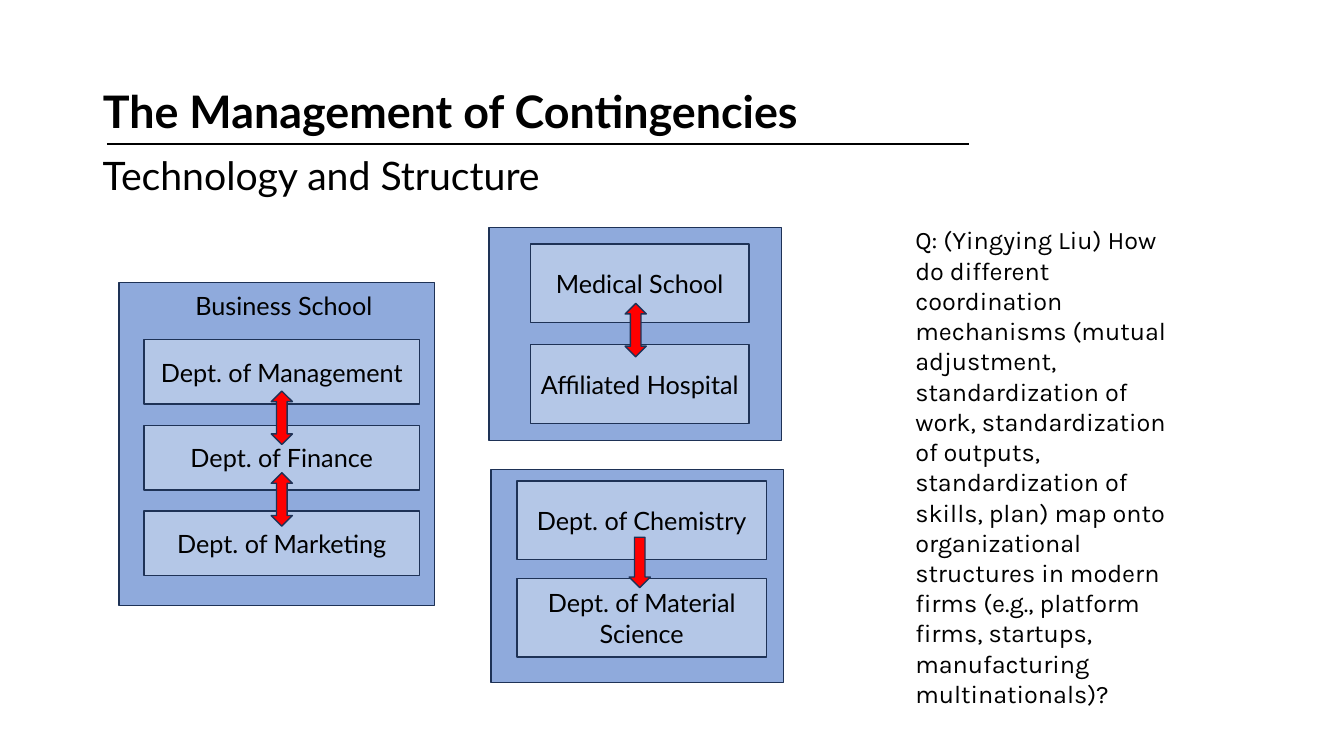
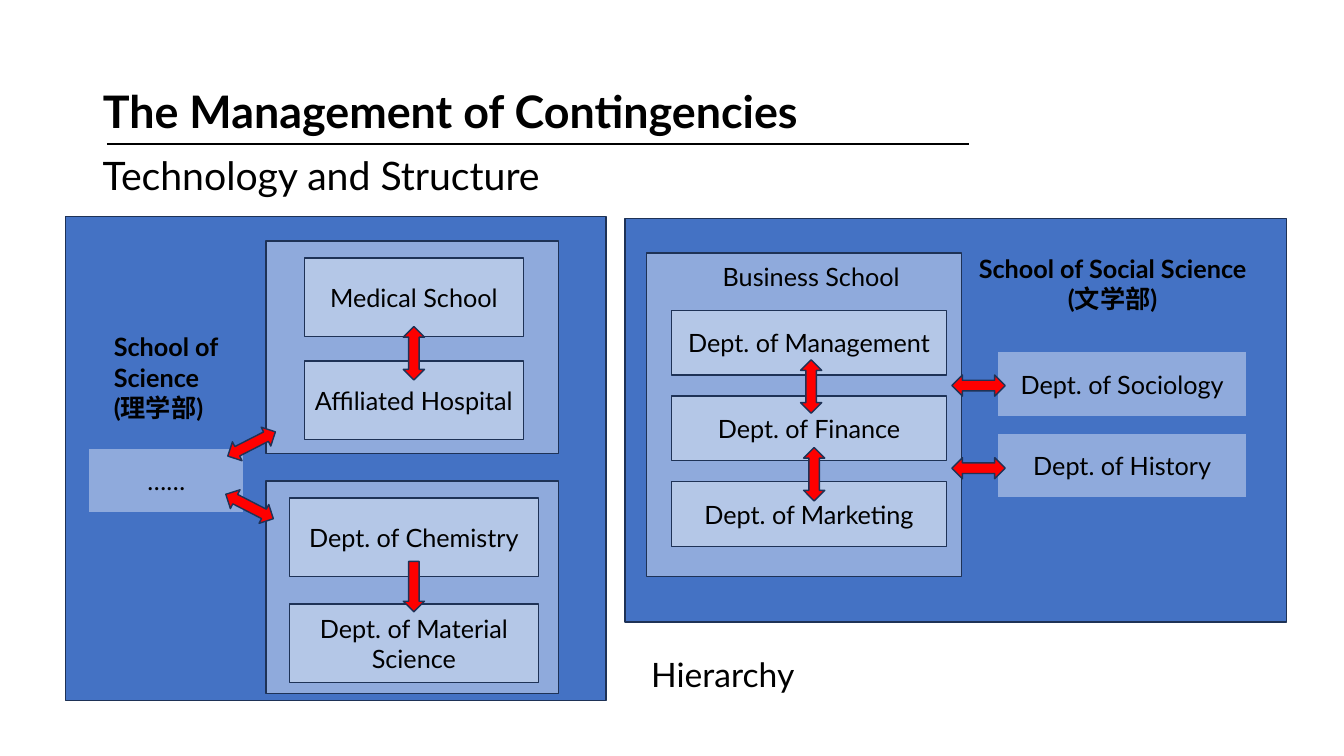
from dataclasses import dataclass

from pptx import Presentation
from pptx.dml.color import RGBColor
from pptx.enum.shapes import MSO_CONNECTOR, MSO_SHAPE
from pptx.enum.text import MSO_ANCHOR, MSO_AUTO_SIZE, PP_ALIGN
from pptx.oxml.xmlchemy import OxmlElement
from pptx.util import Emu, Pt

PX = 9144  # 100 px to the inch
TITLE_ONLY = 5
LEFT, CENTER = PP_ALIGN.LEFT, PP_ALIGN.CENTER
TOP, MIDDLE = MSO_ANCHOR.TOP, MSO_ANCHOR.MIDDLE
BOX = MSO_SHAPE.RECTANGLE
TWO_WAY, ONE_WAY = MSO_SHAPE.UP_DOWN_ARROW, MSO_SHAPE.DOWN_ARROW


@dataclass(frozen=True)
class Theme:
    ink: str = "000000"
    outline: str = "1E3256"
    division: str = "4472C4"
    school: str = "8FAADC"
    department: str = "B4C7E7"
    arrow: str = "FF0000"
    font: str = "Lato"
    question_font: str = "Karla"
    title: int = 32
    subtitle: int = 28
    caption: int = 24
    body: int = 18


THEME = Theme()
TITLE = "The Management of Contingencies"
SUBTITLE = "Technology and Structure"
MEDICAL = ["Medical School", "Affiliated Hospital"]
CHEMISTRY = ["Dept. of Chemistry", "Dept. of Material Science"]
BUSINESS = ["Dept. of Management", "Dept. of Finance", "Dept. of Marketing"]
QUESTION = (
    "Q: (Yingying Liu) How do different coordination mechanisms (mutual adjustment, "
    "standardization of work, standardization of outputs, standardization of skills, plan) "
    "map onto organizational structures in modern firms (e.g., platform firms, startups, "
    "manufacturing multinationals)?"
)


def px(*lengths):
    return [Emu(length * PX) for length in lengths]


def apply(target, values):
    for name, value in values.items():
        setattr(target, name, value)


def write(frame, lines, size=THEME.body, bold=False, font=THEME.font, aligns=(LEFT,), **spacing):
    """Fill a text frame; the last entry of aligns serves all remaining lines."""
    for i, line in enumerate(lines):
        paragraph = frame.paragraphs[0] if i == 0 else frame.add_paragraph()
        apply(paragraph, {"alignment": aligns[min(i, len(aligns) - 1)], **spacing})
        run = paragraph.add_run()
        run.text = line
        apply(run.font, {"size": Pt(size), "bold": bold, "name": font})
        run.font.color.rgb = RGBColor.from_string(THEME.ink)


def add_text(slide, area, lines, wrap=False, **style):
    frame = slide.shapes.add_textbox(*px(*area)).text_frame
    apply(frame, {"word_wrap": wrap, "auto_size": MSO_AUTO_SIZE.SHAPE_TO_FIT_TEXT,
                  "vertical_anchor": TOP})
    write(frame, lines, **style)


def add_shape(slide, kind, area, fill, outline=THEME.outline):
    shape = slide.shapes.add_shape(kind, *px(*area))
    shape.shadow.inherit = False
    shape.fill.solid()
    shape.fill.fore_color.rgb = RGBColor.from_string(fill)
    shape.line.color.rgb = RGBColor.from_string(outline)
    shape.line.width = Pt(1)
    return shape


def add_labelled_box(slide, area, label, fill=THEME.department, outline=THEME.outline):
    frame = add_shape(slide, BOX, area, fill, outline).text_frame
    apply(frame, {"word_wrap": True, "vertical_anchor": MIDDLE})
    write(frame, [label], aligns=(CENTER,))


def add_column(slide, first, pitch, labels, **colours):
    """Stack equal boxes downwards from the area of the first one."""
    left, top, width, height = first
    for i, label in enumerate(labels):
        add_labelled_box(slide, (left, top + i * pitch, width, height), label, **colours)


def add_school(slide, left, top, first, pitch, labels):
    add_shape(slide, BOX, (left, top, 290, 211), THEME.school)
    add_column(slide, first, pitch, labels)


def add_business_school(slide, left, top):
    add_shape(slide, BOX, (left, top, 313, 321), THEME.school)
    add_column(slide, (left + 25, top + 57, 273, 64), 85, BUSINESS)
    add_text(slide, (left + 66, top + 3, 196, 40), ["Business School"])


def add_arrows(slide, arrows, kind=TWO_WAY, height=53):
    for left, top, rotation in arrows:
        arrow = add_shape(slide, kind, (left, top, 21, height), THEME.arrow)
        arrow.rotation = rotation


def add_heading_slide(prs):
    """Add a slide with the shared title, rule and subtitle."""
    slide = prs.slides.add_slide(prs.slide_layouts[TITLE_ONLY])
    title = slide.shapes.title
    apply(title, dict(zip(("left", "top", "width", "height"), px(92, 41, 1150, 145))))
    apply(title.text_frame, {"word_wrap": True, "auto_size": MSO_AUTO_SIZE.NONE,
                             "vertical_anchor": MIDDLE})
    write(title.text_frame, [TITLE], size=THEME.title, bold=True, line_spacing=0.9)
    rule = slide.shapes.add_connector(MSO_CONNECTOR.STRAIGHT, *px(106, 143, 961, 143))
    rule.line.color.rgb = RGBColor.from_string(THEME.ink)
    rule.line.width = Pt(1)
    rule._element.spPr.append(OxmlElement("a:effectLst"))
    add_text(slide, (92, 150, 460, 53), [SUBTITLE], size=THEME.subtitle,
             line_spacing=0.9, space_before=Pt(10))
    return slide


def build_departments(prs):
    slide = add_heading_slide(prs)
    add_school(slide, 485, 226, (526, 242, 217, 78), 100, MEDICAL)
    add_school(slide, 487, 466, (513, 477, 247, 78), 97, CHEMISTRY)
    add_business_school(slide, 118, 280)
    add_arrows(slide, [(624, 533, 0)], ONE_WAY, 50)
    add_arrows(slide, [(620, 301, 0), (269, 388, 0), (269, 469, 0)])
    add_text(slide, (898, 218, 290, 404), [QUESTION], wrap=True, font=THEME.question_font)


def build_hierarchy(prs):
    slide = add_heading_slide(prs)
    for division in ((65, 215, 536, 480), (620, 217, 656, 400)):
        add_shape(slide, BOX, division, THEME.division)
    add_school(slide, 264, 239, (302, 256, 217, 78), 102, MEDICAL)
    add_school(slide, 264, 477, (287, 494, 247, 78), 105, CHEMISTRY)
    add_business_school(slide, 641, 251)

    add_text(slide, (961, 246, 303, 71), ["School of Social Science", "(文学部)"],
             bold=True, aligns=(LEFT, CENTER))
    add_text(slide, (103, 324, 138, 101), ["School of", "Science", "(理学部)"], bold=True)
    peer = {"fill": THEME.school, "outline": THEME.division}
    add_column(slide, (989, 349, 248, 64), 81, ["Dept. of Sociology", "Dept. of History"], **peer)
    add_labelled_box(slide, (88, 445, 154, 64), "……", **peer)

    add_arrows(slide, [(400, 557, 0)], ONE_WAY, 50)
    add_arrows(slide, [(400, 324, 0), (239, 414, 63), (237, 476, 117.2), (794, 357, 0),
                       (797, 444, 0), (960, 356, 90), (960, 438, 90)])
    add_text(slide, (636, 644, 172, 50), ["Hierarchy"], wrap=True, size=THEME.caption)


def main():
    prs = Presentation()
    prs.slide_width, prs.slide_height = px(1333, 750)
    build_departments(prs)
    build_hierarchy(prs)
    prs.save("out.pptx")


if __name__ == "__main__":
    main()
